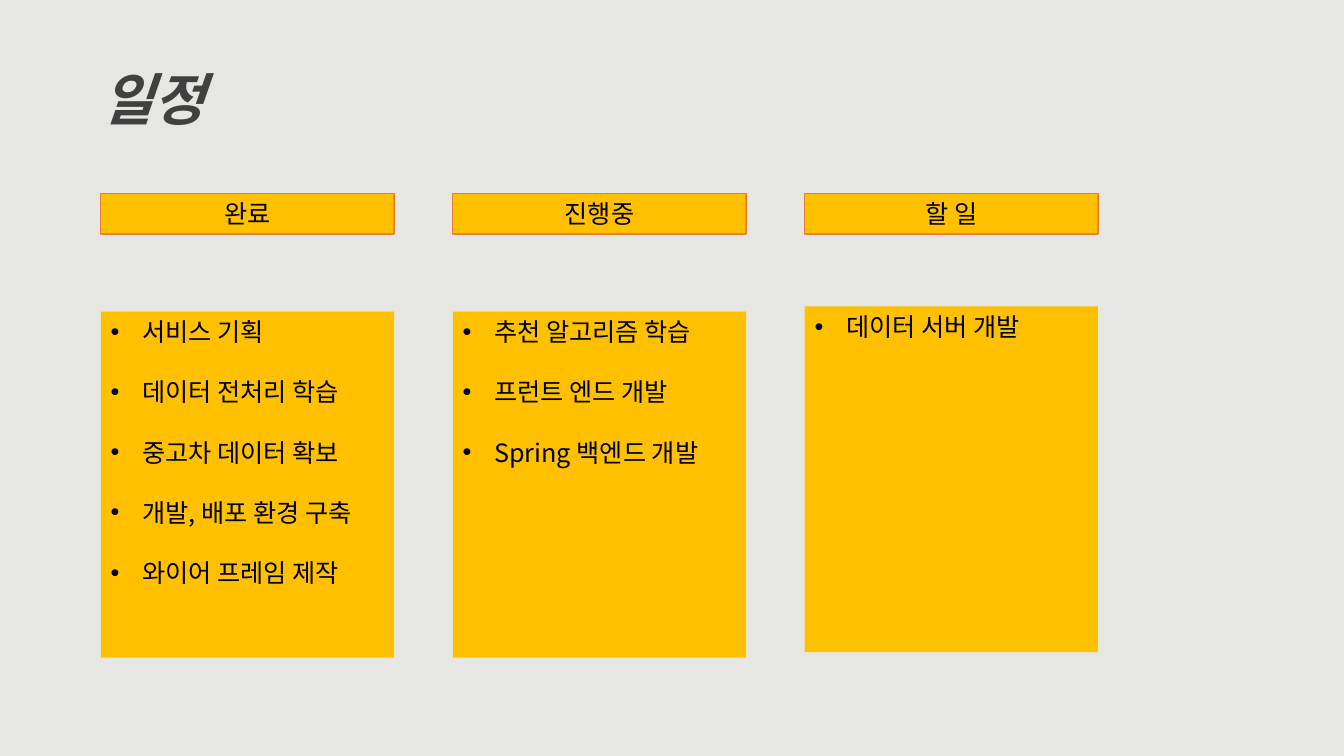
from lxml.etree import SubElement
from pptx import Presentation
from pptx.dml.color import RGBColor
from pptx.enum.shapes import MSO_SHAPE as SHAPE
from pptx.enum.text import MSO_ANCHOR as ANCHOR, PP_ALIGN as ALIGN
from pptx.oxml.ns import qn
from pptx.util import Pt

GROUND = RGBColor(0xE6, 0xE7, 0xE2)
AMBER = RGBColor(0xFF, 0xC0, 0x00)
ORANGE = RGBColor(0xED, 0x7D, 0x31)
GREY = RGBColor(0x40, 0x40, 0x40)
BLACK = RGBColor(0, 0, 0)
FONT = "Noto Sans CJK KR"

LEFT, PITCH, WIDTH = 72, 251.4, 209.5
COLUMNS = [
    ("완료", 222.7, ["서비스 기획", "데이터 전처리 학습", "중고차 데이터 확보",
                   "개발, 배포 환경 구축", "와이어 프레임 제작"]),
    ("진행중", 222.7, ["추천 알고리즘 학습", "프런트 엔드 개발", "Spring 백엔드 개발"]),
    ("할 일", 218.9, ["데이터 서버 개발"]),
]


def write(tf, lines, size=18, color=BLACK, bold=False, italic=False,
          align=ALIGN.LEFT, anchor=ANCHOR.TOP, leading=21.5, gap=0, bullet=None):
    tf.word_wrap = True
    tf.vertical_anchor = anchor
    for i, line in enumerate(lines):
        p = tf.add_paragraph() if i else tf.paragraphs[0]
        p.alignment, p.line_spacing, p.space_after = align, Pt(leading), Pt(gap)
        if bullet:
            pPr = p._p.get_or_add_pPr()
            pPr.set("marL", str(Pt(22.5)))
            pPr.set("indent", str(-Pt(22.5)))
            SubElement(pPr, qn("a:buFont")).set("typeface", "Arial")
            SubElement(pPr, qn("a:buChar")).set("char", bullet)
        r = p.add_run()
        r.text = line
        r.font.name, r.font.size = FONT, Pt(size)
        r.font.bold, r.font.italic = bold, italic
        r.font.color.rgb = color
        SubElement(r._r.get_or_add_rPr(), qn("a:ea")).set("typeface", FONT)


class Board:
    """Slide with a title and amber boxes in one style."""

    def __init__(self, prs):
        self.s = prs.slides.add_slide(prs.slide_layouts[6])
        self.s.background.fill.solid()
        self.s.background.fill.fore_color.rgb = GROUND

    def title(self, text, x, y, w, h):
        sp = self.s.shapes.add_textbox(Pt(x), Pt(y), Pt(w), Pt(h))
        write(sp.text_frame, [text], size=40, color=GREY, bold=True,
              italic=True, leading=76)

    def box(self, x, y, w, h, line=None):
        sp = self.s.shapes.add_shape(SHAPE.RECTANGLE, Pt(x), Pt(y), Pt(w), Pt(h))
        sp.shadow.inherit = False
        sp.fill.solid()
        sp.fill.fore_color.rgb = AMBER
        if line:
            sp.line.color.rgb = line
            sp.line.width = Pt(1)
        else:
            sp.line.fill.background()
        return sp.text_frame

    def header(self, text, x, y, w, h):
        write(self.box(x, y, w, h, ORANGE), [text], align=ALIGN.CENTER,
              anchor=ANCHOR.MIDDLE)

    def tasks(self, items, x, y, w, h):
        write(self.box(x, y, w, h), items, gap=21.5, bullet="•")


prs = Presentation()
prs.slide_width, prs.slide_height = Pt(960), Pt(540)
board = Board(prs)
board.title("일정", 65.5, 14.4, 385, 70.6)
for i, (status, top, items) in enumerate(COLUMNS):
    x = LEFT + i * PITCH
    board.header(status, x, 138.2, WIDTH, 29)
    board.tasks(items, x, top, WIDTH, 247)
prs.save("out.pptx")
